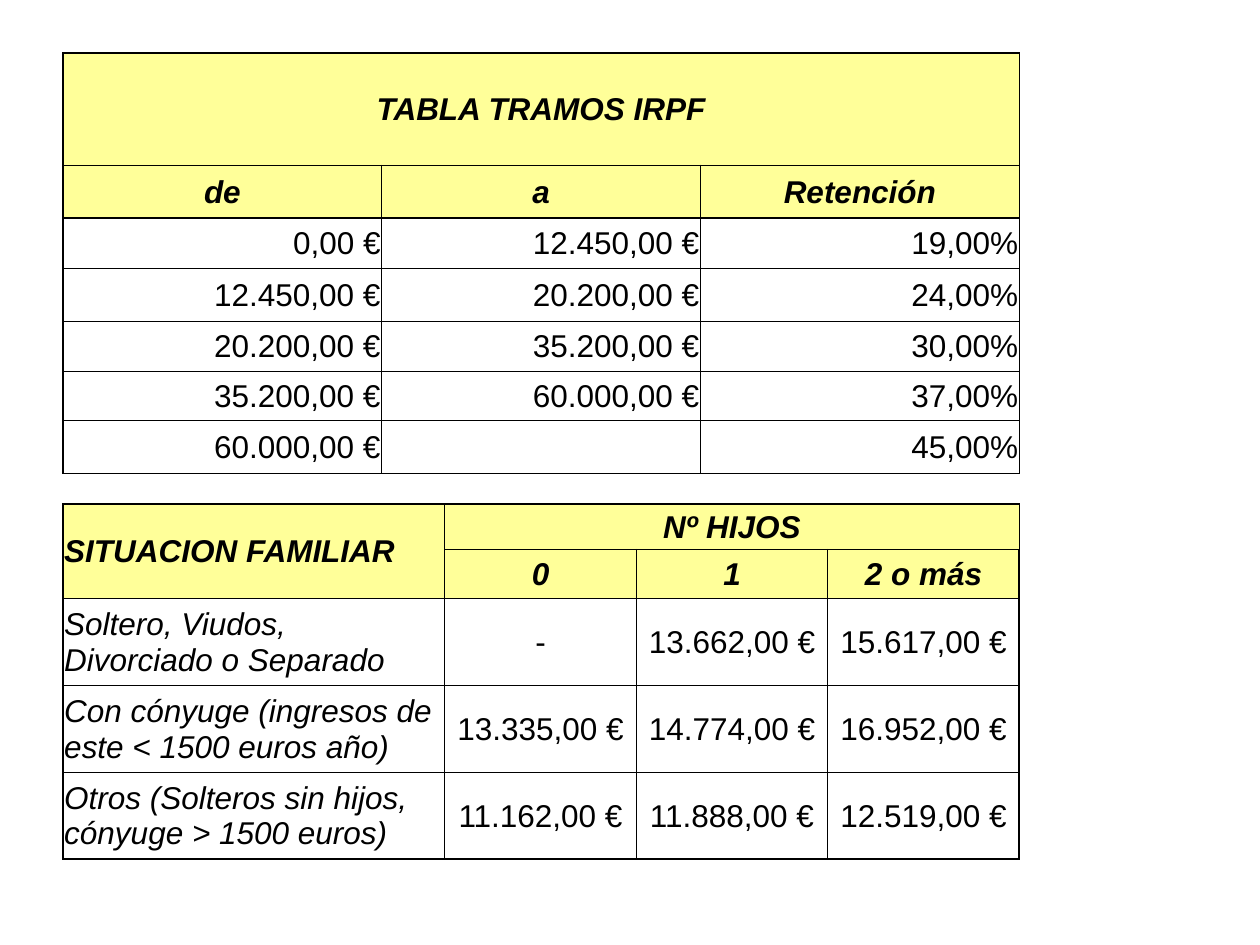
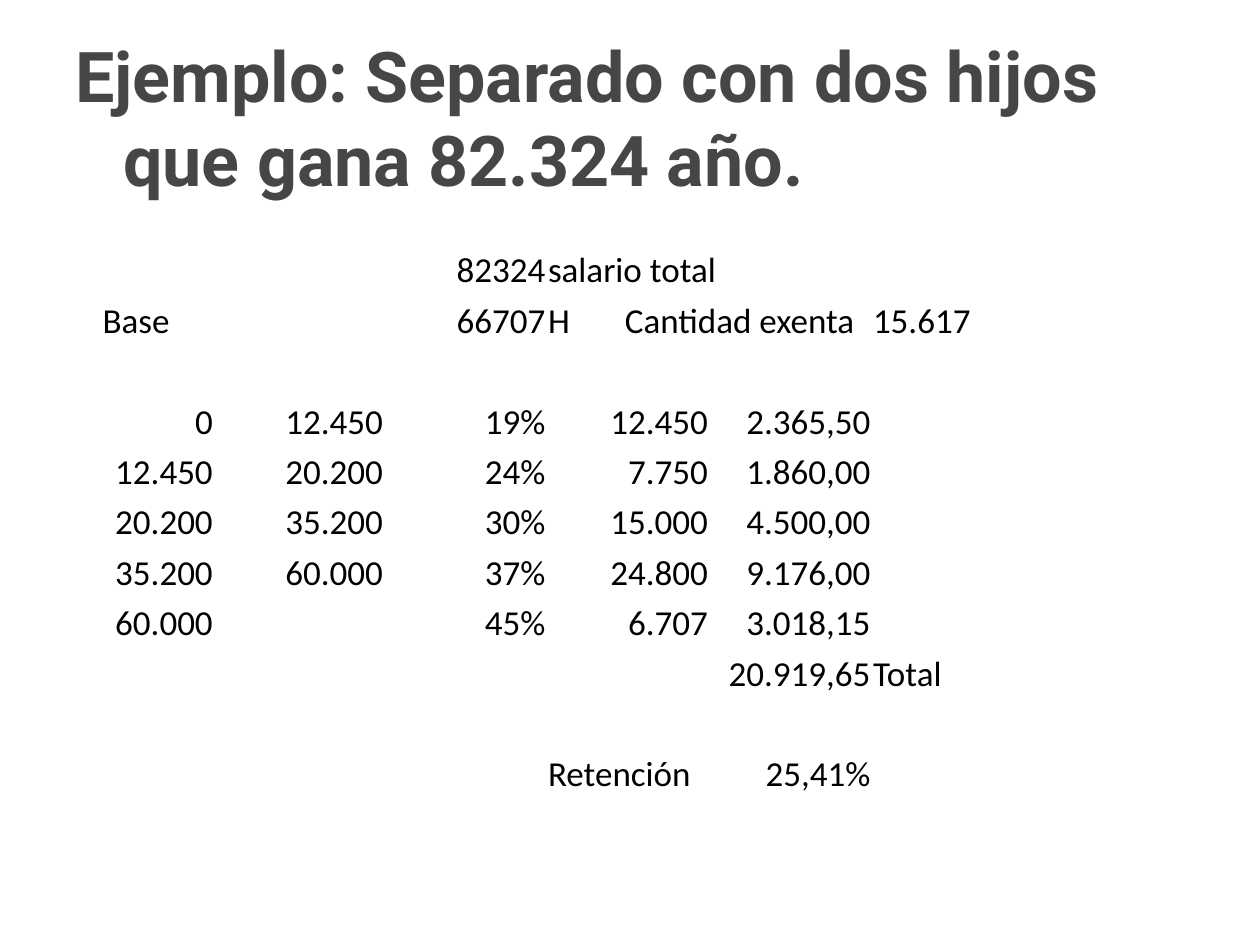
from lxml.etree import SubElement
from pptx import Presentation
from pptx.dml.color import RGBColor
from pptx.enum.text import MSO_ANCHOR as ANCHOR, PP_ALIGN as ALIGN
from pptx.oxml.ns import qn
from pptx.util import Inches, Pt

BLACK = RGBColor(0x00, 0x00, 0x00)
GREY = RGBColor(0x46, 0x46, 0x46)
YELLOW = RGBColor(0xFF, 0xFF, 0x99)
NO_STYLE = "{2D5ABB26-0587-4C30-8999-92F81FD0307C}"
ALIGNS = {"l": ALIGN.LEFT, "c": ALIGN.CENTER, "r": ALIGN.RIGHT}
THICK, THIN = Pt(1), Pt(0.5)

BRACKETS = [
    ["TABLA TRAMOS IRPF", "", ""],
    ["de", "a", "Retención"],
    ["0,00 €", "12.450,00 €", "19,00%"],
    ["12.450,00 €", "20.200,00 €", "24,00%"],
    ["20.200,00 €", "35.200,00 €", "30,00%"],
    ["35.200,00 €", "60.000,00 €", "37,00%"],
    ["60.000,00 €", "", "45,00%"],
]
FAMILY = [
    ["SITUACION FAMILIAR", "Nº HIJOS", "", ""],
    ["", "0", "1", "2 o más"],
    ["Soltero, Viudos, Divorciado o Separado", "-", "13.662,00 €", "15.617,00 €"],
    ["Con cónyuge (ingresos de este < 1500 euros año)", "13.335,00 €", "14.774,00 €", "16.952,00 €"],
    ["Otros (Solteros sin hijos, cónyuge > 1500 euros)", "11.162,00 €", "11.888,00 €", "12.519,00 €"],
]
EXAMPLE = [
    ["", "", "82324", "salario total", "", ""],
    ["Base", "", "66707", "H\tCantidad exenta", "", "15.617"],
    [""] * 6,
    ["0", "12.450", "19%", "12.450", "2.365,50", ""],
    ["12.450", "20.200", "24%", "7.750", "1.860,00", ""],
    ["20.200", "35.200", "30%", "15.000", "4.500,00", ""],
    ["35.200", "60.000", "37%", "24.800", "9.176,00", ""],
    ["60.000", "", "45%", "6.707", "3.018,15", ""],
    ["", "", "", "", "20.919,65", "Total"],
    [""] * 6,
    ["", "", "", "Retención", "25,41%", ""],
]


class Deck:
    """Holds the presentation, its shared style and the current slide."""

    def __init__(self):
        self.prs = Presentation()
        self.prs.slide_width, self.prs.slide_height = Inches(10), Inches(7.5)

    def new_slide(self):
        self.s = self.prs.slides.add_slide(self.prs.slide_layouts[6])

    def run(self, p, text, font, size, color=BLACK, bold=False, italic=False):
        r = p.add_run()
        r.text = text
        f = r.font
        f.name, f.size, f.bold, f.italic = font, Pt(size), bold, italic
        f.color.rgb = color

    def title(self, text):
        tf = self.s.shapes.add_textbox(Inches(0.5), Inches(0.3), Inches(9), Inches(1.25)).text_frame
        tf.word_wrap, tf.vertical_anchor = True, ANCHOR.MIDDLE
        p = tf.paragraphs[0]
        pPr = p._p.get_or_add_pPr()
        pPr.set("marL", str(Inches(0.38)))
        pPr.set("indent", str(-Inches(0.38)))
        self.run(p, text, "Roboto", 40, GREY, bold=True)

    def tab_stop(self, p, pos):
        tabs = SubElement(p._p.get_or_add_pPr(), qn("a:tabLst"))
        SubElement(tabs, qn("a:tab"), pos=str(pos), algn="l")

    def borders(self, cell, widths):
        tcPr = cell._tc.get_or_add_tcPr()
        for side, width in zip("LRTB", widths):
            ln = SubElement(tcPr, qn(f"a:ln{side}"), w=str(width))
            fill = SubElement(ln, qn("a:solidFill"))
            SubElement(fill, qn("a:srgbClr"), val=str(BLACK))

    def table(self, left, top, cols, rows, data, aligns, spans=(), font="Arial", size=18,
              anchor=ANCHOR.MIDDLE, header=0, grid=True, italic_first=False):
        frame = self.s.shapes.add_table(len(rows), len(cols), Inches(left), Inches(top),
                                        Inches(sum(cols)), Inches(sum(rows)))
        t = frame.table
        t.first_row = t.horz_banding = False
        t._tbl.tblPr.find(qn("a:tableStyleId")).text = NO_STYLE
        for col, width in zip(t.columns, cols):
            col.width = Inches(width)
        for row, height in zip(t.rows, rows):
            row.height = Inches(height)
        for i, line in enumerate(data):
            for j, text in enumerate(line):
                cell, head = t.cell(i, j), i < header
                cell.margin_left = cell.margin_right = cell.margin_top = Inches(0.01)
                cell.margin_bottom = 0
                cell.vertical_anchor = anchor
                if grid:
                    thick = (j == 0, j == len(cols) - 1, i in (0, header), i in (header - 1, len(rows) - 1))
                    self.borders(cell, [THICK if on else THIN for on in thick])
                if head:
                    cell.fill.solid()
                    cell.fill.fore_color.rgb = YELLOW
                else:
                    cell.fill.background()
                if text:
                    p = cell.text_frame.paragraphs[0]
                    p.alignment = ALIGNS[aligns[i][j]]
                    if "\t" in text:
                        self.tab_stop(p, Inches(0.61))
                    self.run(p, text, font, size, bold=head, italic=head or italic_first and j == 0)
        for first, last in spans:
            t.cell(*first).merge(t.cell(*last))


def main():
    deck = Deck()
    deck.new_slide()
    deck.table(0.5, 0.42, [2.53] * 3, [0.89, 0.42, 0.4, 0.42, 0.4, 0.39, 0.42], BRACKETS,
               ["ccc"] * 2 + ["rrr"] * 5, [((0, 0), (0, 2))], header=2)
    deck.table(0.5, 4, [3.03] + [1.52] * 3, [0.36, 0.39] + [0.69] * 3, FAMILY, ["lccc"] * 5,
               [((0, 0), (1, 0)), ((0, 1), (0, 3))], header=2, italic_first=True)

    deck.new_slide()
    deck.title("Ejemplo: Separado con dos hijos que gana 82.324 año.")
    deck.table(0.46, 1.92, [1.24, 1.35] + [1.29] * 4, [0.4] * 11, EXAMPLE,
               ["rrrlrl", "crrlrl"] + ["rrrrrl"] * 8 + ["rrrlrl"],
               [((i, 3), (i, 4)) for i in range(2)],
               font="Calibri", size=20, anchor=ANCHOR.BOTTOM, grid=False)
    deck.prs.save("out.pptx")


if __name__ == "__main__":
    main()
